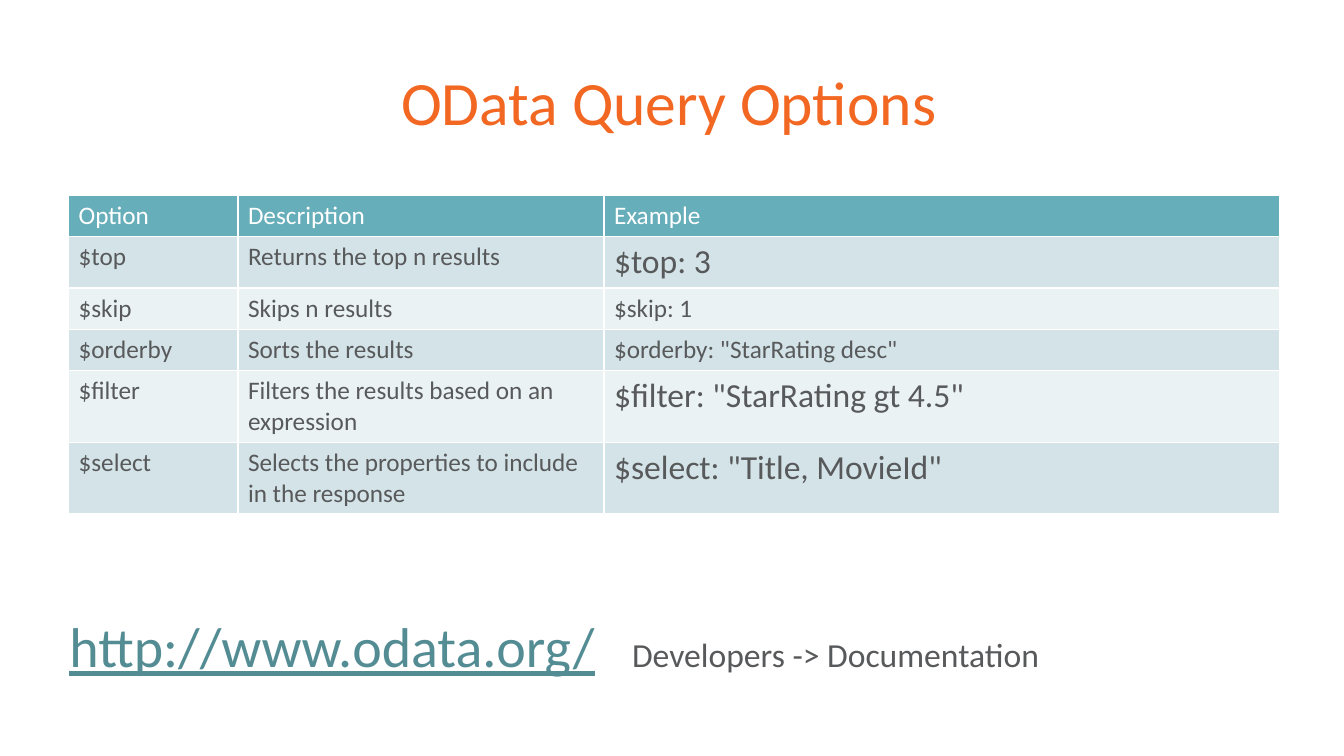
from lxml import etree
from pptx import Presentation
from pptx import util as u
from pptx.dml.color import RGBColor
from pptx.enum import text
from pptx.oxml import ns

WHITE = RGBColor(0xFF, 0xFF, 0xFF)
ORANGE = RGBColor(0xF2, 0x67, 0x22)
GREY = RGBColor(0x58, 0x59, 0x5B)
LINK_TEAL = RGBColor(0x54, 0x8C, 0x94)
HEADER_TEAL = RGBColor(0x66, 0xAE, 0xBA)
BANDS = (RGBColor(0xEA, 0xF2, 0xF3), RGBColor(0xD3, 0xE3, 0xE7))

FONT = "Calibri"
MARGIN = 0.68
CONTENT_WIDTH = 12.01
COLUMN_WIDTHS = (1.68, 3.63, 6.7)
ROW_HEIGHT = 0.41
BODY_SIZE, LARGE_SIZE = 18, 24

HEADINGS = ("Option", "Description", "Example")
OPTIONS = (
    ("$top", "Returns the top n results", "$top: 3"),
    ("$skip", "Skips n results", "$skip: 1"),
    ("$orderby", "Sorts the results", '$orderby: "StarRating desc"'),
    ("$filter", "Filters the results based on an expression",
     '$filter: "StarRating gt 4.5"'),
    ("$select", "Selects the properties to include in the response",
     '$select: "Title, MovieId"'),
)
LARGE_EXAMPLES = {"$top", "$filter", "$select"}


def add_run(paragraph, words, size=BODY_SIZE, color=GREY, underline=False):
    run = paragraph.add_run()
    run.text = words
    font = run.font
    font.name, font.size, font.bold = FONT, u.Pt(size), False
    font.underline = underline
    font.color.rgb = color


def add_box(slide, left, top, width, height):
    """Add a wrapping text box, given in inches, and return its text frame."""
    box = slide.shapes.add_textbox(*map(u.Inches, (left, top, width, height)))
    box.text_frame.word_wrap = True
    return box.text_frame


def add_tab_stop(paragraph, position):
    properties = paragraph._p.get_or_add_pPr()
    stops = etree.SubElement(properties, ns.qn("a:tabLst"))
    etree.SubElement(stops, ns.qn("a:tab"), pos=str(u.Inches(position)), algn="l")


def set_borders(cell, color, width):
    properties = cell._tc.get_or_add_tcPr()
    for side in "LRTB":
        line = etree.SubElement(properties, ns.qn(f"a:ln{side}"), w=str(u.Pt(width)))
        fill = etree.SubElement(line, ns.qn("a:solidFill"))
        etree.SubElement(fill, ns.qn("a:srgbClr"), val=str(color))


def fill_cell(cell, words, fill, **text_format):
    set_borders(cell, WHITE, 1)
    cell.fill.solid()
    cell.fill.fore_color.rgb = fill
    add_run(cell.text_frame.paragraphs[0], words, **text_format)


def add_title(slide, words):
    frame = add_box(slide, MARGIN, 0.2, CONTENT_WIDTH, 1.72)
    frame.margin_left = 0
    frame.vertical_anchor = text.MSO_ANCHOR.MIDDLE
    paragraph = frame.paragraphs[0]
    paragraph.alignment = text.PP_ALIGN.CENTER
    paragraph.line_spacing = 0.85
    add_run(paragraph, words, size=44, color=ORANGE)


def add_options_table(slide):
    row_count = len(OPTIONS) + 1
    table = slide.shapes.add_table(
        row_count, len(HEADINGS), u.Inches(MARGIN), u.Inches(1.94),
        u.Inches(CONTENT_WIDTH), u.Inches(ROW_HEIGHT * row_count)).table
    for column, width in zip(table.columns, COLUMN_WIDTHS):
        column.width = u.Inches(width)
    for column, heading in enumerate(HEADINGS):
        fill_cell(table.cell(0, column), heading, HEADER_TEAL, color=WHITE)
    for row, option in enumerate(OPTIONS, start=1):
        example_size = LARGE_SIZE if option[0] in LARGE_EXAMPLES else BODY_SIZE
        sizes = (BODY_SIZE, BODY_SIZE, example_size)
        for column, (words, size) in enumerate(zip(option, sizes)):
            fill_cell(table.cell(row, column), words, BANDS[row % 2], size=size)


def add_reference(slide, address, directions):
    paragraph = add_box(slide, 0.59, 6.02, 10.12, 0.77).paragraphs[0]
    add_tab_stop(paragraph, 5.58)
    add_run(paragraph, address, size=40, color=LINK_TEAL, underline=True)
    add_run(paragraph, "\t" + directions, size=LARGE_SIZE)


def main():
    presentation = Presentation()
    presentation.slide_width = u.Inches(13.33)
    presentation.slide_height = u.Inches(7.5)
    slide = presentation.slides.add_slide(presentation.slide_layouts[6])
    add_options_table(slide)
    add_title(slide, "OData Query Options")
    add_reference(slide, "http://www.odata.org/", "Developers -> Documentation")
    presentation.save("out.pptx")


if __name__ == "__main__":
    main()
